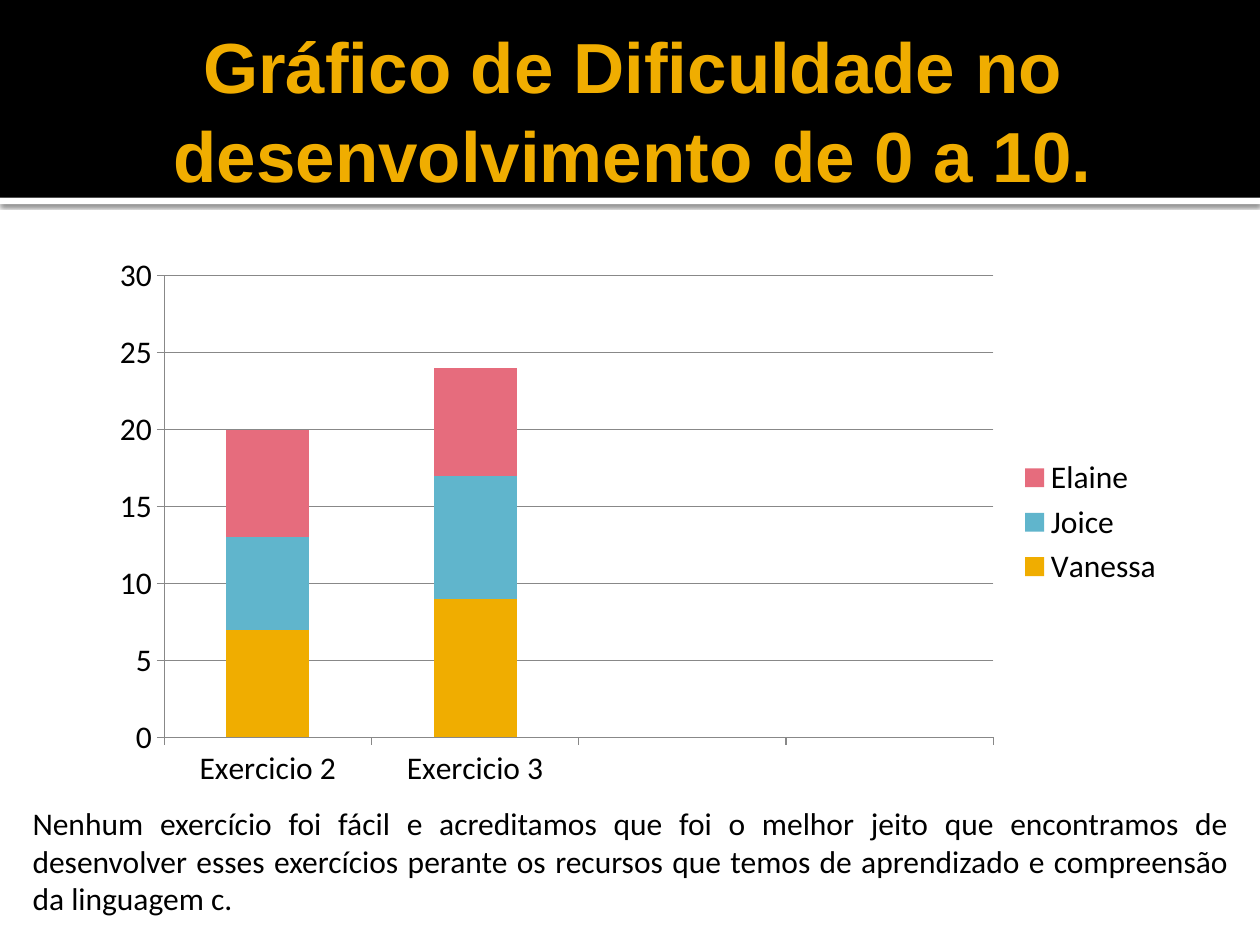
from lxml import etree
from pptx import Presentation
from pptx import util as u
from pptx.chart.data import CategoryChartData
from pptx.dml.color import RGBColor
from pptx.enum import chart as ch, shapes, text
from pptx.oxml import ns

BLACK = RGBColor(0x00, 0x00, 0x00)
WHITE = RGBColor(0xFF, 0xFF, 0xFF)
GRAY = RGBColor(0x88, 0x88, 0x88)
GOLD = RGBColor(0xF0, 0xAD, 0x00)
BLUE = RGBColor(0x60, 0xB5, 0xCC)
PINK = RGBColor(0xE6, 0x6C, 0x7D)

SCORES = [
    ("Vanessa", (7, 9, None, None), GOLD),
    ("Joice", (6, 8, None, None), BLUE),
    ("Elaine", (7, 7, None, None), PINK),
]


class Deck:
    """Holds the text style and the current slide, with a method per element."""

    def __init__(self, slide, face="Calibri", size=18):
        self.slide = slide
        self.face = face
        self.size = size

    def place(self, *box):
        return [u.Inches(n) for n in box]

    def bar(self, box, color, shade=False):
        bar = self.slide.shapes.add_shape(shapes.MSO_SHAPE.RECTANGLE, *self.place(*box))
        bar.shadow.inherit = False
        bar.fill.solid()
        bar.fill.fore_color.rgb = color
        bar.line.fill.background()
        if shade:
            glow = bar.element.spPr.find(ns.qn("a:effectLst"))
            drop = etree.SubElement(glow, ns.qn("a:outerShdw"), blurRad=str(u.Pt(2.5)),
                                    dist=str(u.Pt(0.8)), dir="5400000", rotWithShape="0")
            tint = etree.SubElement(drop, ns.qn("a:srgbClr"), val=str(BLACK))
            etree.SubElement(tint, ns.qn("a:alpha"), val="60000")

    def words(self, frame, line, align, face, size, color, bold=False):
        frame.word_wrap = True
        para = frame.paragraphs[0]
        para.alignment = align
        run = para.add_run()
        run.text = line
        font = run.font
        font.name, font.size, font.bold = face, u.Pt(size), bold
        font.color.rgb = color
        return para

    def title(self, box, line):
        head = self.slide.shapes.title
        head.left, head.top, head.width, head.height = self.place(*box)
        frame = head.text_frame
        frame.auto_size = text.MSO_AUTO_SIZE.NONE
        frame.vertical_anchor = text.MSO_ANCHOR.MIDDLE
        frame.margin_right = u.Inches(0.05)
        para = self.words(frame, line, text.PP_ALIGN.CENTER, "Arial", 40.5, GOLD, True)
        para.line_spacing = 1.04
        self.slide.shapes.element.append(head.element)

    def note(self, box, line):
        frame = self.slide.shapes.add_textbox(*self.place(*box)).text_frame
        self.words(frame, line, text.PP_ALIGN.JUSTIFY, self.face, self.size, BLACK)

    def chart(self, box, cats, rows):
        data = CategoryChartData()
        data.categories = cats
        for name, vals, _ in rows:
            data.add_series(name, vals)
        chart = self.slide.shapes.add_chart(
            ch.XL_CHART_TYPE.COLUMN_STACKED, *self.place(*box), data).chart
        chart.has_title = False
        chart.font.name, chart.font.size = self.face, u.Pt(self.size)
        chart.font.color.rgb = BLACK
        chart.has_legend = True
        chart.legend.position = ch.XL_LEGEND_POSITION.RIGHT
        chart.legend.include_in_layout = False
        plot = chart.plots[0]
        plot.vary_by_categories = False
        plot.gap_width, plot.overlap = 150, 100
        for series, row in zip(plot.series, rows):
            series.format.fill.solid()
            series.format.fill.fore_color.rgb = row[2]
        axis = chart.value_axis
        axis.minimum_scale, axis.maximum_scale, axis.major_unit = 0, 30, 5
        axis.has_major_gridlines = True
        for part in (axis, chart.category_axis, axis.major_gridlines):
            part.format.line.color.rgb = GRAY
            part.format.line.width = u.Pt(0.75)
        for part in (axis, chart.category_axis):
            part.major_tick_mark = ch.XL_TICK_MARK.OUTSIDE


def main():
    prs = Presentation()
    prs.slide_width, prs.slide_height = u.Inches(10), u.Inches(7.5)
    deck = Deck(prs.slides.add_slide(prs.slide_layouts[5]))
    deck.bar((0, 1.57, 10, 0.05), WHITE, shade=True)
    deck.bar((0, 0, 10, 1.57), BLACK)
    deck.title((0.5, 0.17, 9, 1.37), "Gráfico de Dificuldade no desenvolvimento de 0 a 10.")
    deck.chart((0.78, 1.95, 8.56, 4.39), ("Exercicio 2", "Exercicio 3", "", ""), SCORES)
    deck.note((0.16, 6.33, 9.69, 1.17),
              "Nenhum exercício foi fácil e acreditamos que foi o melhor jeito que "
              "encontramos de desenvolver esses exercícios perante os recursos que "
              "temos de aprendizado e compreensão da linguagem c.")
    prs.save("out.pptx")


if __name__ == "__main__":
    main()
